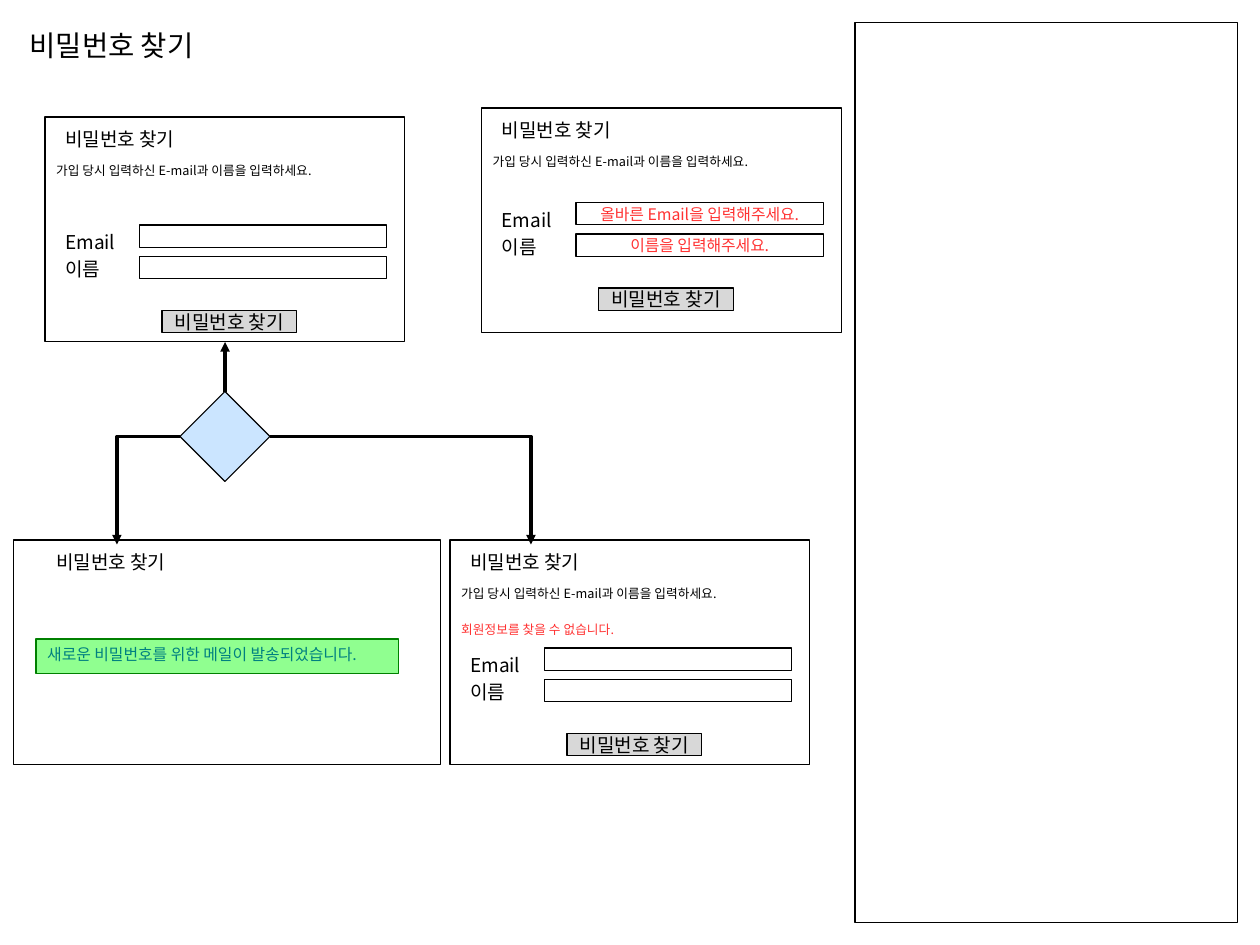
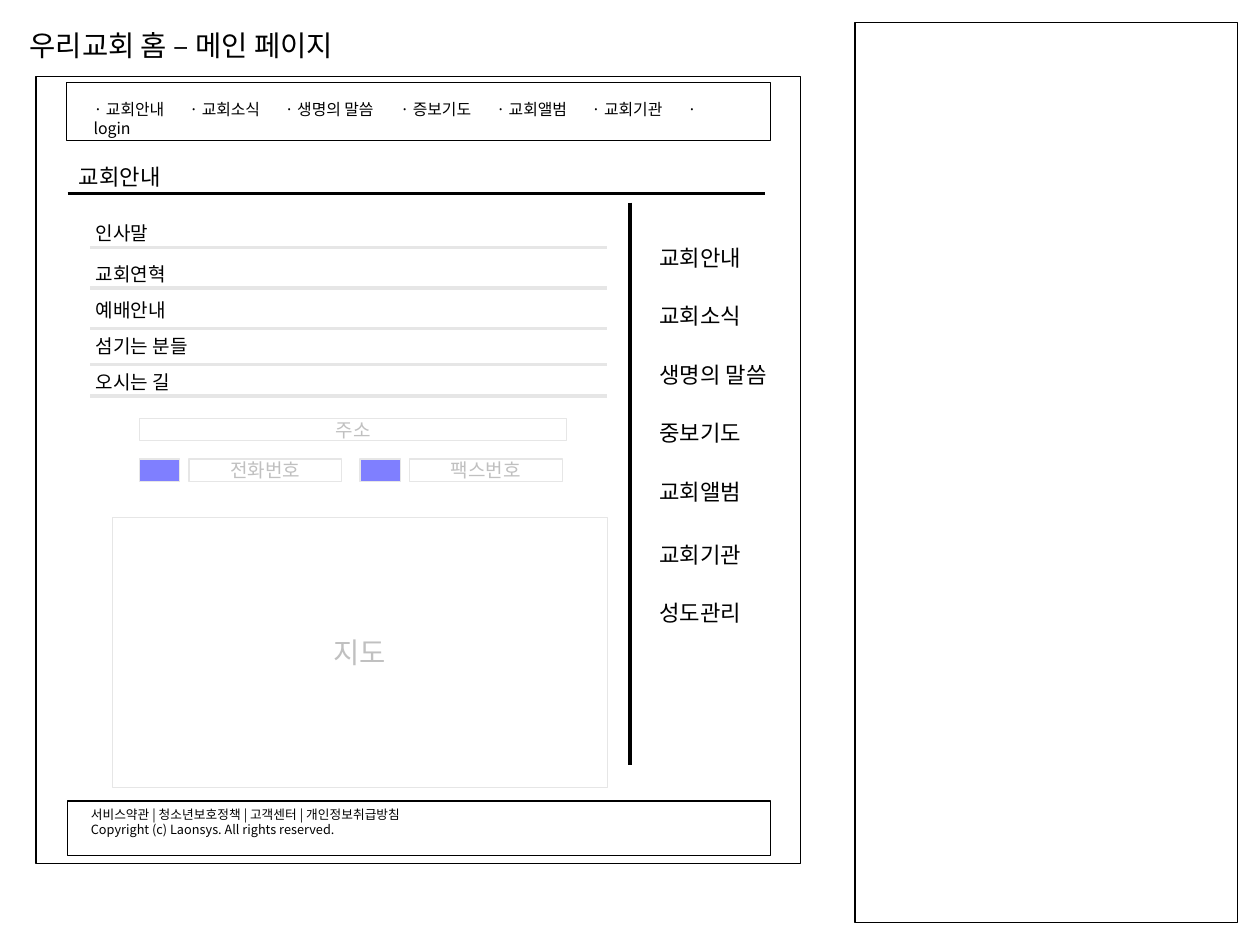
from dataclasses import dataclass

from lxml import etree
from pptx import Presentation, util as u
from pptx.dml.color import RGBColor
from pptx.enum import shapes, text
from pptx.oxml.ns import qn

COLS, ROWS = 28, 21
COL = u.Cm(1)


@dataclass(frozen=True)
class Theme:
    font: str = "Noto Sans CJK KR"
    ink: str = "000000"
    paper: str = "FFFFFF"
    rule: str = "E6E6E6"
    faint: str = "C0C0C0"
    button: str = "B3B3B3"
    error: str = "FF3333"
    decision: str = "99CCFF"
    icon: str = "0000FF"
    notice: str = "23FF23"
    notice_line: str = "008000"
    notice_text: str = "008080"
    title: int = 18
    menu: int = 14
    body: int = 12
    note: int = 10
    small: int = 8


T = Theme()


def grid(*cells):
    return [round(c * COL) for c in cells]


def add_child(parent, tag, **attrs):
    child = etree.SubElement(parent, qn(tag))
    for name, value in attrs.items():
        child.set(name, str(value))
    return child


def text_height(size):
    return round(0.25 + 0.051 * size, 2)


class Wireframe:
    """Draws on the current slide; every length is in grid cells."""

    def __init__(self):
        self.prs = Presentation()
        self.prs.slide_width, self.prs.slide_height = grid(COLS, ROWS)
        self.s = None

    def new_slide(self, title, width):
        self.s = self.prs.slides.add_slide(self.prs.slide_layouts[5])
        sp = self.s.shapes.title
        sp.left, sp.top, sp.width, sp.height = grid(
            0.4, 0.5, width, text_height(T.title))
        self.set_text(sp, title, T.title, wrap=False)
        self.box(19, 0.5, 8.5, 20)

    def set_text(self, sp, content, size, color=T.ink, align=text.PP_ALIGN.LEFT,
                 anchor=text.MSO_ANCHOR.TOP, wrap=True, tabs=()):
        tf = sp.text_frame
        tf.text = content
        tf.word_wrap = wrap
        tf.auto_size = text.MSO_AUTO_SIZE.NONE
        tf.vertical_anchor = anchor
        for p in tf.paragraphs:
            p.alignment = align
            p_pr = p._p.get_or_add_pPr()
            if tabs:
                tab_list = add_child(p_pr, "a:tabLst")
                for pos in grid(*tabs):
                    add_child(tab_list, "a:tab", pos=pos, algn="l")
            p.font.size = u.Pt(size)
            p.font.name = T.font
            p.font.color.rgb = RGBColor.from_string(color)
            add_child(p_pr.find(qn("a:defRPr")), "a:ea", typeface=T.font)

    def label(self, x, y, w, content, size=T.body, color=T.ink, wrap=False, tabs=()):
        sp = self.s.shapes.add_textbox(*grid(x, y, w, text_height(size)))
        self.set_text(sp, content, size, color, wrap=wrap, tabs=tabs)

    def box(self, x, y, w, h, fill=T.paper, line=T.ink,
            shape=shapes.MSO_SHAPE.RECTANGLE):
        """Half-transparent shape with a hairline outline."""
        sp = self.s.shapes.add_shape(shape, *grid(x, y, w, h))
        sp.shadow.inherit = False
        sp.fill.solid()
        sp.fill.fore_color.rgb = RGBColor.from_string(fill)
        add_child(sp._element.spPr.find(qn("a:solidFill"))[0], "a:alpha", val=50000)
        sp.line.color.rgb = RGBColor.from_string(line)
        sp.line.width = 0
        return sp

    def field(self, x, y, w, content="", size=T.body, color=T.ink,
              fill=T.paper, line=T.ink, h=0.5):
        """Box with centred text, for inputs and buttons."""
        sp = self.box(x, y, w, h, fill, line)
        if content:
            self.set_text(sp, content, size, color, text.PP_ALIGN.CENTER,
                          text.MSO_ANCHOR.MIDDLE, wrap=False)

    def line(self, x1, y1, x2, y2, color=T.ink, arrow=False, bent=False):
        kind = shapes.MSO_CONNECTOR.ELBOW if bent else shapes.MSO_CONNECTOR.STRAIGHT
        cn = self.s.shapes.add_connector(kind, *grid(x1, y1, x2, y2))
        cn.line.color.rgb = RGBColor.from_string(color)
        cn.line.width = 0
        sp_pr = cn._element.spPr
        if bent:
            sp_pr.find(qn("a:prstGeom")).set("prst", "bentConnector2")
        if arrow:
            add_child(sp_pr.find(qn("a:ln")), "a:tailEnd", type="triangle")
        add_child(sp_pr, "a:effectLst")
        return cn

    def password_form(self, x, y, errors=("", ""), shift=0, message=""):
        """Form frame; shift moves the inputs and the button down."""
        frame = self.box(x, y, 8, 5)
        top = y + 2.4 + shift
        rows = zip(("Email", "이름"), (1.68, 1.35), errors)
        for i, (name, width, error) in enumerate(rows):
            self.field(x + 2.1, top + 0.7 * i, 5.5, error, T.note, T.error)
            self.label(x + 0.2, top + 0.6 * i, width, name)
        self.field(x + 2.6, top + 1.9, 3, "비밀번호 찾기", fill=T.button)
        self.label(x + 0.2, y + 0.1, 3.18, "비밀번호 찾기")
        self.label(x, y + 0.9, 6.58, "가입 당시 입력하신 E-mail과 이름을 입력하세요.",
                   T.small)
        if message:
            self.label(x, y + 1.7, 4.24, message, T.small, T.error)
        return frame


def password_slide(w):
    w.new_slide("비밀번호 찾기", 4.5)
    form = w.password_form(1, 2.6)
    w.password_form(10.7, 2.4, shift=-0.3,
                    errors=("올바른 Email을 입력해주세요.", "이름을 입력해주세요."))
    w.password_form(10, 12, message="회원정보를 찾을 수 없습니다.")

    w.box(0.3, 12, 9.5, 5)
    w.label(1, 12.1, 3.18, "비밀번호 찾기")
    notice = w.box(0.8, 14.2, 8.05, 0.76, T.notice, T.notice_line)
    w.set_text(notice, "새로운 비밀번호를 위한 메일이 발송되었습니다.", T.note, T.notice_text)

    decision = w.box(4, 8.7, 2, 2, T.decision,
                     shape=shapes.MSO_SHAPE.FLOWCHART_DECISION)
    back = w.line(5, 8.7, 5, 7.6, arrow=True)
    back.begin_connect(decision, 0)
    back.end_connect(form, 2)
    for start, end in ((4, 2.6), (6, 11.8)):
        w.line(start, 9.7, end, 12.1, arrow=True, bent=True)


def main_page_slide(w):
    w.new_slide("우리교회 홈 – 메인 페이지", 7.98)
    w.box(0.8, 1.7, 17, 17.5)
    w.box(1.48, 1.83, 15.65, 1.3)
    nav = ("교회안내", "교회소식", "생명의 말씀", "증보기도", "교회앨범", "교회기관", "login")
    w.label(1.83, 2.08, 14.68, "\t".join(f"· {item}" for item in nav), T.note,
            wrap=True, tabs=(2.13, 4.25, 6.82, 8.95, 11.07, 13.2))

    footer = w.box(1.5, 17.8, 15.62, 1.22)
    w.set_text(footer, "서비스약관 | 청소년보호정책 | 고객센터 | 개인정보취급방침\n"
               "Copyright (c) Laonsys. All rights reserved.", T.small)
    footer.text_frame.margin_left = u.Cm(0.52)

    w.line(1.5, 4.3, 17, 4.3)
    w.line(14, 4.5, 14, 17)
    w.label(1.5, 3.5, 2.5, "교회안내", T.menu)

    for name, width, top, rule in (("인사말", 1.78, 4.8, 5.5),
                                   ("교회연혁", 2.18, 5.7, 6.4),
                                   ("예배안내", 2.18, 6.5, 7.3),
                                   ("섬기는 분들", 2.74, 7.3, 8.1),
                                   ("오시는 길", 2.31, 8.1, 8.8)):
        w.label(1.88, top, width, name)
        w.line(2, rule, 13.5, rule, T.rule)

    sidebar = (("교회안내", 5.3), ("교회소식", 6.6), ("생명의 말씀", 7.9),
               ("중보기도", 9.2), ("교회앨범", 10.5), ("교회기관", 11.9), ("성도관리", 13.2))
    for name, top in sidebar:
        w.label(14.4, top, 3.12 if " " in name else 2.5, name, T.menu)

    faint = dict(color=T.faint, line=T.rule)
    w.field(3.1, 9.3, 9.5, "주소", **faint)
    for x, name in ((3.1, "전화번호"), (8, "팩스번호")):
        w.box(x, 10.2, 0.9, 0.5, T.icon, T.rule)
        w.field(x + 1.1, 10.2, 3.4, name, **faint)
    w.field(2.5, 11.5, 11, "지도", T.title, h=6, **faint)


def main():
    w = Wireframe()
    password_slide(w)
    main_page_slide(w)
    w.prs.save("out.pptx")


if __name__ == "__main__":
    main()
